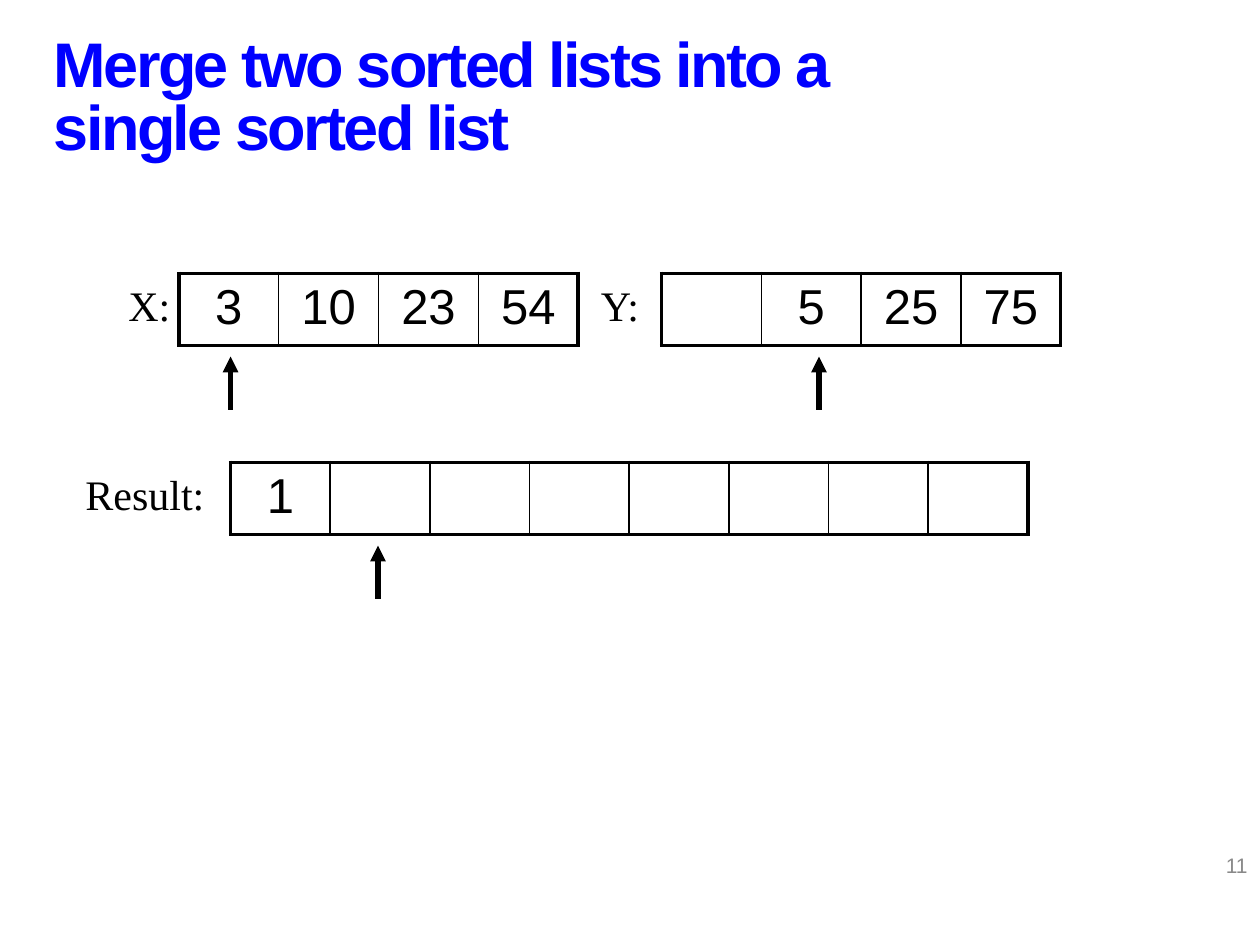
"""Build a slide showing one step of merging two sorted lists."""
from lxml.etree import SubElement
from pptx import Presentation
from pptx.dml.color import RGBColor
from pptx.enum.shapes import MSO_CONNECTOR as Connector
from pptx.enum.text import MSO_ANCHOR as Anchor, PP_ALIGN as Align
from pptx.oxml.ns import qn
from pptx.util import Inches, Pt

BLACK = RGBColor(0x00, 0x00, 0x00)
BLUE = RGBColor(0x00, 0x00, 0xFF)
GRAY = RGBColor(0x89, 0x89, 0x89)
THICK, THIN = 2.25, 1


def write(frame, text, size, font="Arial", color=BLACK, bold=False,
          align=Align.LEFT, line_height=None, tracking=None):
    para = frame.paragraphs[0]
    para.alignment = align
    if line_height:
        para.line_spacing = Pt(line_height)
    span = para.add_run()
    span.text = text
    span.font.name = font
    span.font.size = Pt(size)
    span.font.bold = bold
    span.font.color.rgb = color
    if tracking:
        span.font._element.set("spc", str(int(tracking * 100)))


def add_border(cell, side, width):
    line = SubElement(cell._tc.get_or_add_tcPr(), qn(f"a:ln{side}"), w=str(Pt(width)))
    fill = SubElement(line, qn("a:solidFill"))
    SubElement(fill, qn("a:srgbClr"), val=str(BLACK))


class MergePage:
    def __init__(self, deck):
        self.page = deck.slides.add_slide(deck.slide_layouts[6])

    def text(self, text, left, top, width, height, size, anchor=Anchor.TOP, **style):
        box = self.page.shapes.add_textbox(
            Inches(left), Inches(top), Inches(width), Inches(height))
        box.text_frame.word_wrap = True
        box.text_frame.vertical_anchor = anchor
        write(box.text_frame, text, size, **style)

    def label(self, text, left, top, width):
        self.text(text, left, top, width, 0.5, 24, font="Times New Roman")

    def array(self, values, left, top, width):
        count = len(values)
        frame = self.page.shapes.add_table(
            1, count, Inches(left), Inches(top), Inches(width), Inches(0.57))
        table = frame.table
        table.first_row = table.horz_banding = False
        for index, value in enumerate(values):
            table.columns[index].width = Inches(width / count)
            cell = table.cell(0, index)
            add_border(cell, "L", THICK if index == 0 else THIN)
            add_border(cell, "R", THICK if index == count - 1 else THIN)
            add_border(cell, "T", THICK)
            add_border(cell, "B", THICK)
            cell.fill.background()
            if value:
                write(cell.text_frame, value, 28, align=Align.CENTER)

    def pointer(self, x, tip):
        arrow = self.page.shapes.add_connector(
            Connector.STRAIGHT, Inches(x), Inches(tip + 0.42), Inches(x), Inches(tip))
        arrow.line.color.rgb = BLACK
        arrow.line.width = Pt(3)
        SubElement(arrow.line._get_or_add_ln(), qn("a:tailEnd"), type="triangle")
        SubElement(arrow._element.spPr, qn("a:effectLst"))


def main():
    deck = Presentation()
    deck.slide_width, deck.slide_height = Inches(10), Inches(7.5)
    page = MergePage(deck)

    page.text("Merge two sorted lists into a single sorted list",
              0.33, 0.17, 6.92, 1.25, 36, anchor=Anchor.MIDDLE,
              color=BLUE, bold=True, line_height=36, tracking=-1.5)
    page.text("11", 7.67, 6.67, 2.33, 0.4, 12, anchor=Anchor.MIDDLE,
              color=GRAY, align=Align.RIGHT)

    page.array(["3", "10", "23", "54"], 1.42, 2.17, 3.17)
    page.array(["", "5", "25", "75"], 5.25, 2.17, 3.17)
    page.array(["1"] + [""] * 7, 1.83, 3.67, 6.33)

    for x, tip in ((1.83, 2.83), (6.5, 2.83), (3, 4.33)):
        page.pointer(x, tip)

    page.label("X:", 0.92, 2.17, 0.58)
    page.label("Y:", 4.67, 2.17, 0.58)
    page.label("Result:", 0.58, 3.67, 1.17)

    deck.save("out.pptx")


if __name__ == "__main__":
    main()
